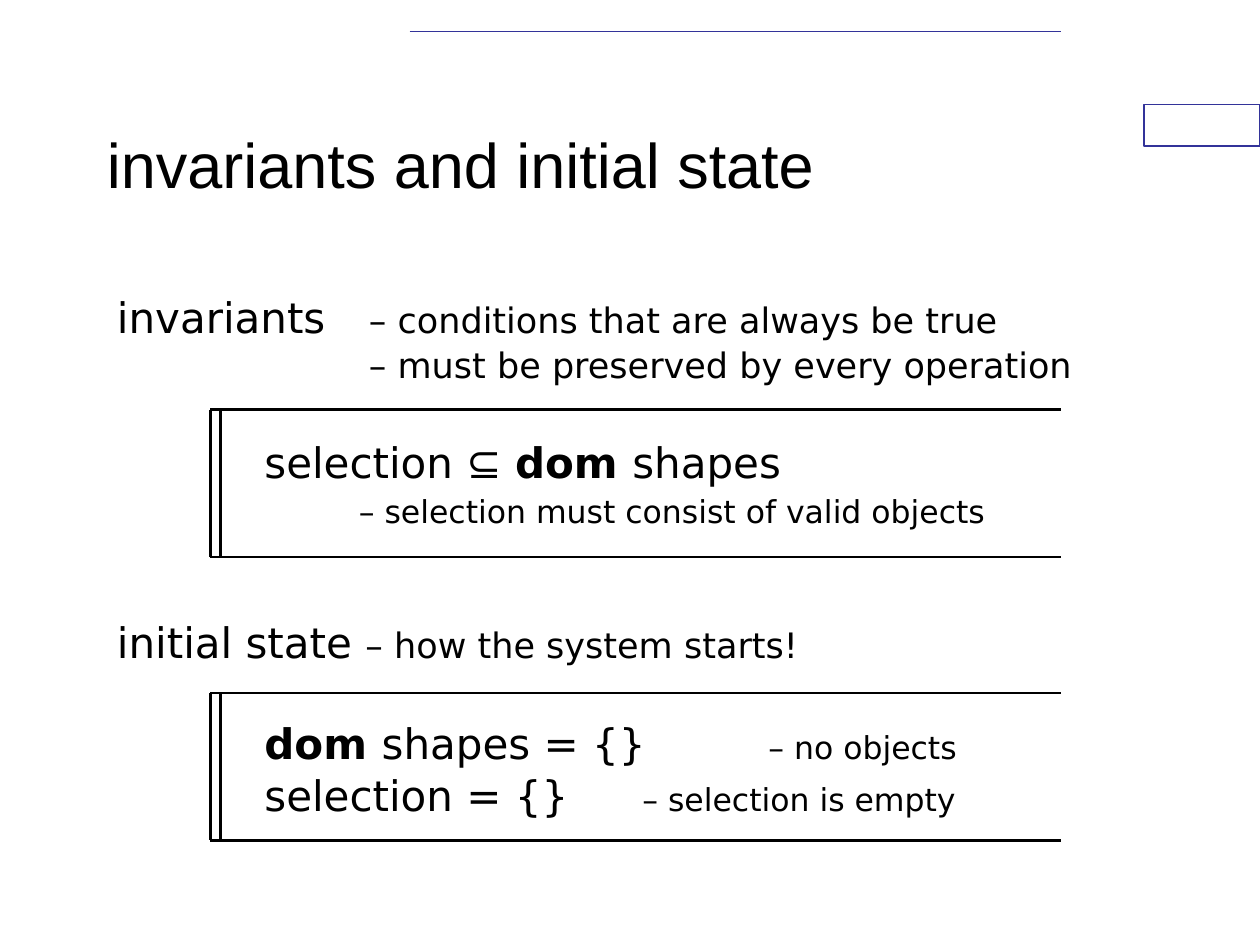
from lxml import etree
from pptx import Presentation
from pptx.dml.color import RGBColor
from pptx.enum.shapes import MSO_CONNECTOR, MSO_SHAPE
from pptx.enum.text import MSO_ANCHOR
from pptx.oxml.ns import qn
from pptx.util import Inches, Pt

BLACK, WHITE, INDIGO = "000000", "FFFFFF", "333399"
BODY_FONT, TITLE_FONT = "DejaVu Sans", "Arial"
BODY_SPACING = 1.04
LARGE, MEDIUM, SMALL = 24, 20, 18

# Each paragraph: tab stop in inches (or None), then runs of (text, size, bold)
TITLE = [(None, [("invariants and initial state", 36, False)])]
HEADINGS = [
    ((0.83, 2.25, 7.82, 0.84), [
        (2, [("invariants\t", LARGE, False),
             ("– conditions that are always be true", MEDIUM, False)]),
        (2, [("\t– must be preserved by every operation", MEDIUM, False)]),
    ]),
    ((0.83, 4.83, 5.67, 0.51), [
        (None, [("initial state ", LARGE, False),
                ("– how the system starts!", MEDIUM, False)]),
    ]),
]
SCHEMAS = [
    ((2, 3.4, 5.98, 0.84), [
        (None, [("selection ⊆ ", LARGE, False), ("dom ", LARGE, True),
                ("shapes", LARGE, False)]),
        (0.75, [("\t", MEDIUM, False),
                ("– selection must consist of valid objects", SMALL, False)]),
    ]),
    ((2, 5.63, 5.75, 0.91), [
        (4, [("dom ", LARGE, True), ("shapes = {}\t", LARGE, False),
             ("– no objects", SMALL, False)]),
        (3, [("selection = {}\t", LARGE, False),
             ("– selection is empty", SMALL, False)]),
    ]),
]
FRAME_TOPS = (3.25, 5.5)
FRAME_HEIGHT = 1.17
FRAME_LEFT, FRAME_INNER, FRAME_RIGHT = 1.67, 1.75, 8.42


def color(value):
    return RGBColor.from_string(value)


def add_line(page, start, end, line_color=BLACK, width=1.5):
    line = page.shapes.add_connector(
        MSO_CONNECTOR.STRAIGHT, *(Inches(v) for v in (*start, *end)))
    line.line.color.rgb = color(line_color)
    line.line.width = Pt(width)
    etree.SubElement(line._element.spPr, qn("a:effectLst"))


def add_frame(page, top):
    """Draw a schema frame: double left bar, open on the right."""
    bottom = top + FRAME_HEIGHT
    for y in (top, bottom):
        add_line(page, (FRAME_LEFT, y), (FRAME_RIGHT, y))
    for x in (FRAME_LEFT, FRAME_INNER):
        add_line(page, (x, top), (x, bottom))


def set_tab(para, position):
    tabs = etree.SubElement(para._p.get_or_add_pPr(), qn("a:tabLst"))
    etree.SubElement(tabs, qn("a:tab"), pos=str(Inches(position)), algn="l")


def add_text(page, place, paragraphs, font=BODY_FONT, spacing=BODY_SPACING,
             anchor=MSO_ANCHOR.TOP):
    box = page.shapes.add_textbox(*(Inches(v) for v in place))
    frame = box.text_frame
    frame.word_wrap = True
    frame.vertical_anchor = anchor
    for index, (tab, runs) in enumerate(paragraphs):
        para = frame.add_paragraph() if index else frame.paragraphs[0]
        if tab:
            set_tab(para, tab)
        para.line_spacing = spacing
        for text, size, bold in runs:
            span = para.add_run()
            span.text = text
            span.font.name = font
            span.font.size = Pt(size)
            span.font.bold = bold
            span.font.color.rgb = color(BLACK)


def add_decoration(page):
    tag = page.shapes.add_shape(
        MSO_SHAPE.RECTANGLE, *(Inches(v) for v in (9.08, 0.83, 0.92, 0.33)))
    tag.shadow.inherit = False
    tag.fill.solid()
    tag.fill.fore_color.rgb = color(WHITE)
    tag.line.color.rgb = color(INDIGO)
    tag.line.width = Pt(0.75)
    add_line(page, (3.25, 0.25), (FRAME_RIGHT, 0.25), INDIGO, 1)


def main():
    deck = Presentation()
    deck.slide_width, deck.slide_height = Inches(10), Inches(7.5)
    page = deck.slides.add_slide(deck.slide_layouts[6])
    add_decoration(page)
    add_text(page, (0.75, 0.67, 7.5, 1.25), TITLE, TITLE_FONT, 1.0,
             MSO_ANCHOR.MIDDLE)
    for top in FRAME_TOPS:
        add_frame(page, top)
    for place, paragraphs in HEADINGS + SCHEMAS:
        add_text(page, place, paragraphs)
    deck.save("out.pptx")


if __name__ == "__main__":
    main()
